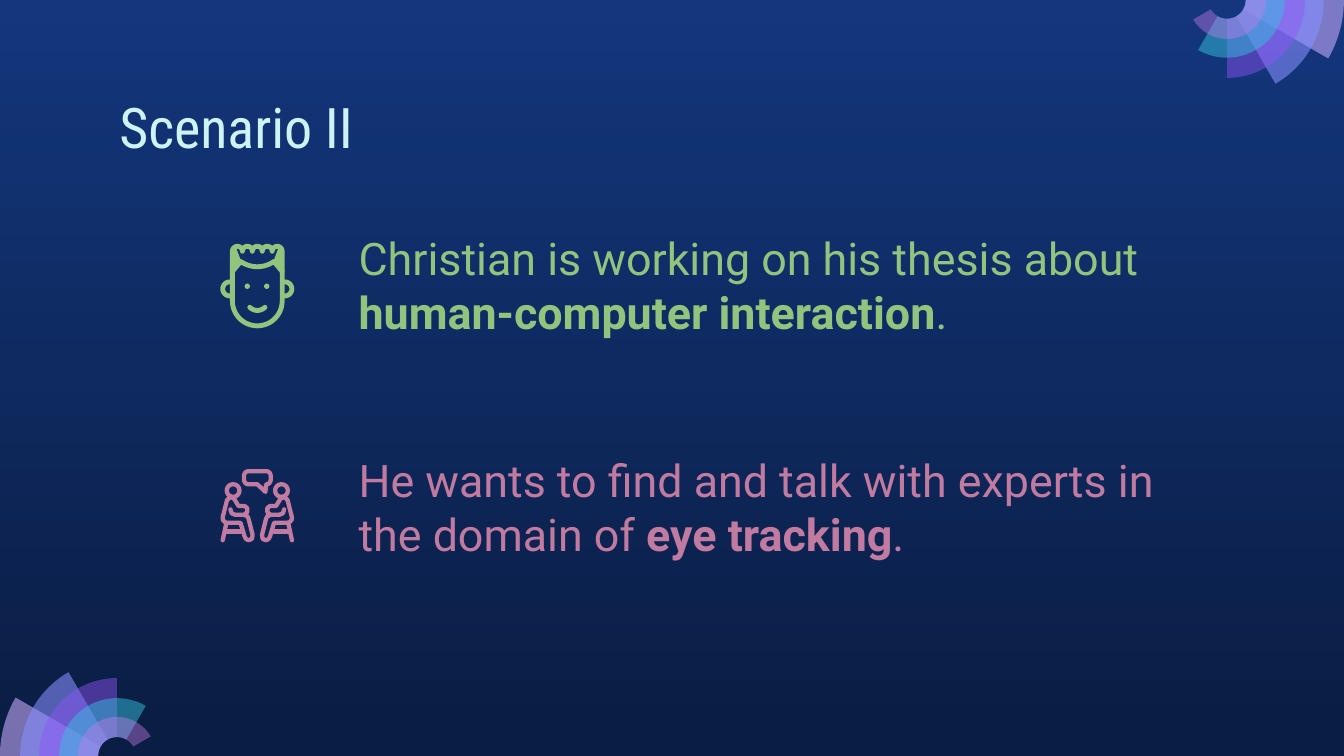
from dataclasses import dataclass
from math import cos, radians, sin

from lxml import etree
from pptx import Presentation
from pptx.dml.color import RGBColor
from pptx.enum.shapes import MSO_SHAPE
from pptx.enum.text import MSO_ANCHOR
from pptx.oxml.ns import qn
from pptx.util import Inches, Pt

OVAL = MSO_SHAPE.OVAL
TOP = MSO_ANCHOR.TOP

SKY = RGBColor(0x13, 0x36, 0x7C)
NIGHT = RGBColor(0x0A, 0x1D, 0x42)
ICE = RGBColor(0xCE, 0xF3, 0xF5)
GREEN = RGBColor(0x93, 0xC4, 0x7D)
PINK = RGBColor(0xC2, 0x7B, 0xA0)
LILAC = RGBColor(0xC8, 0xAC, 0xFD)
PERIWINKLE = RGBColor(0x87, 0x8F, 0xFF)
VIOLET = RGBColor(0x91, 0x54, 0xF8)
CYAN = RGBColor(0x35, 0xC2, 0xDF)
ORCHID = RGBColor(0xCA, 0x7B, 0xEB)

WIDTH = 10
HEIGHT = WIDTH * 9 / 16

Points = list[tuple[float, float]]


@dataclass
class Ring:
    radius: float
    sweep: int
    color: RGBColor
    opacity: int


@dataclass
class Icon:
    """Icon drawn on a grid of hundredths of an inch."""
    left: float
    top: float
    color: RGBColor
    weight: float


@dataclass
class Run:
    text: str
    fmt: dict


@dataclass
class Para:
    runs: list[Run]
    space_before: float = 0


RINGS = [
    Ring(0.87, 30, LILAC, 58),
    Ring(0.72, 60, PERIWINKLE, 58),
    Ring(0.58, 90, VIOLET, 46),
    Ring(0.43, 120, CYAN, 49),
    Ring(0.29, 150, ORCHID, 42),
]
HOLE = 0.14
FACE = Icon(1.64, 1.81, GREEN, 2.6)
TALK = Icon(1.64, 3.49, PINK, 2.3)
ICON_WIDTH = 55


def arc(cx: float, cy: float, r: float, start: float, end: float, steps: int = 24) -> Points:
    """Points along an arc; angles run clockwise from the right."""
    angles = [radians(start + (end - start) * i / steps) for i in range(steps + 1)]
    return [(cx + r * cos(a), cy + r * sin(a)) for a in angles]


def add_outline(s, contours: list[Points], closed: bool):
    """One freeform made of several contours, in inches."""
    first, *others = [[(Inches(x), Inches(y)) for x, y in c] for c in contours]
    fb = s.shapes.build_freeform(*first[0])
    fb.add_line_segments(first[1:], close=closed)
    for contour in others:
        fb.move_to(*contour[0])
        fb.add_line_segments(contour[1:], close=closed)
    sp = fb.convert_to_shape()
    sp.shadow.inherit = False
    return sp


def paint(sp, color: RGBColor, opacity: int = 100) -> None:
    sp.fill.solid()
    sp.fill.fore_color.rgb = color
    sp.line.fill.background()
    if opacity < 100:
        clr = sp.fill._xPr.find(f".//{qn('a:srgbClr')}")
        etree.SubElement(clr, qn("a:alpha"), val=str(opacity * 1000))


def add_fan(s, cx: float, cy: float, start: int) -> None:
    for ring in RINGS:
        end = start + ring.sweep
        edge = arc(cx, cy, ring.radius, start, end) + arc(cx, cy, HOLE, end, start)
        paint(add_outline(s, [edge], True), ring.color, ring.opacity)


def place(icon: Icon, contour: Points) -> Points:
    return [(icon.left + x / 100, icon.top + y / 100) for x, y in contour]


def mirror(contour: Points) -> Points:
    return [(ICON_WIDTH - x, y) for x, y in contour]


def add_strokes(s, icon: Icon, contours: list[Points]) -> None:
    sp = add_outline(s, [place(icon, c) for c in contours], False)
    sp.fill.background()
    sp.line.color.rgb = icon.color
    sp.line.width = Pt(icon.weight)
    ln = sp.line._get_or_add_ln()
    ln.set("cap", "rnd")
    etree.SubElement(ln, qn("a:round"))


def add_face(s) -> None:
    # Smile, then eyes
    add_strokes(s, FACE, [arc(27.5, 42, 8, 45, 135)])
    for x in (20, 34.5):
        cx, cy = place(FACE, [(x, 32)])[0]
        sp = s.shapes.add_shape(OVAL, Inches(cx - 0.02), Inches(cy - 0.02),
                                Inches(0.04), Inches(0.04))
        sp.shadow.inherit = False
        paint(sp, FACE.color)
    # Head with five curls, fringe and ears
    head = arc(27.5, 43, 18.5, 0, 180)
    for i in range(5):
        head += arc(12.7 + 7.4 * i, 6, 3.7, 180, 360, 12)
    head.append(head[0])
    fringe = [(9, 21), *arc(27.5, -4, 21.5, 125, 55), (46, 21)]
    ear = arc(7, 34, 5.2, 90, 270)
    add_strokes(s, FACE, [head, fringe, ear, mirror(ear)])
    # Hair at the temples
    lock = [(9, 5), (12, 4), (15, 12), (9, 19)]
    for contour in (lock, mirror(lock)):
        paint(add_outline(s, [place(FACE, contour)], True), FACE.color)


def add_talk(s) -> None:
    person = [
        arc(9.5, 16, 4.7, 0, 360),
        [(8, 20.5), (5, 23), (1.7, 36), (2, 38), (4, 40), (15, 40), (18, 50),
         (19, 52), (21, 53), (23.5, 52), (24, 49), (21, 37), (20, 35), (17, 34),
         (11, 34), (8.5, 33), (7.5, 30)],
        [(8, 20.5), (10.5, 22.5), (13.5, 27.5), (18, 27.5), (20, 29), (20, 32), (18, 34)],
        [(4.5, 40), (1.7, 53)],
        [(4, 46.5), (15, 46.5)],
    ]
    add_strokes(s, TALK, person)
    add_strokes(s, TALK, [mirror(c) for c in person])
    # Speech bubble
    bubble = (arc(21, 5, 3.4, 180, 270, 8) + arc(34, 5, 3.4, 270, 360, 8)
              + arc(34, 8, 3.4, 0, 90, 8) + [(33.5, 17), (27.5, 11.4)]
              + arc(21, 8, 3.4, 90, 180, 8))
    add_strokes(s, TALK, [bubble + bubble[:1]])


def add_text(s, left: float, top: float, width: float, height: float,
             paras: list[Para]) -> None:
    tb = s.shapes.add_textbox(Inches(left), Inches(top), Inches(width), Inches(height))
    tf = tb.text_frame
    tf.word_wrap = True
    tf.vertical_anchor = TOP
    for side in ("left", "top", "right", "bottom"):
        setattr(tf, f"margin_{side}", Inches(0.1))
    for i, para in enumerate(paras):
        p = tf.add_paragraph() if i else tf.paragraphs[0]
        p.space_before = Pt(para.space_before)
        for run in para.runs:
            r = p.add_run()
            r.text = run.text
            for key, value in run.fmt.items():
                if key == "color":
                    r.font.color.rgb = value
                else:
                    setattr(r.font, key, value)


def main() -> None:
    prs = Presentation()
    prs.slide_width, prs.slide_height = Inches(WIDTH), Inches(HEIGHT)
    s = prs.slides.add_slide(prs.slide_layouts[6])

    # Background
    fill = s.background.fill
    fill.gradient()
    fill.gradient_angle = 270
    for stop, color, position in zip(fill.gradient_stops, (SKY, NIGHT), (0, 1)):
        stop.color.rgb = color
        stop.position = position

    # Corner fans
    add_fan(s, 0.87, HEIGHT, 180)
    add_fan(s, WIDTH - 0.87, 0, 0)

    # Title and body
    title = {"name": "Roboto Condensed", "size": Pt(30), "color": ICE}
    green = {"name": "Roboto", "size": Pt(24), "color": GREEN}
    pink = green | {"color": PINK}
    bold = {"bold": True}
    add_text(s, 0.79, 0.59, 8.43, 0.63, [Para([Run("Scenario II", title)])])
    add_text(s, 2.57, 1.62, 6.26, 3.44, [
        Para([Run("Christian is working on his thesis about ", green),
              Run("human-computer interaction", green | bold), Run(".", green)]),
        Para([Run("He wants to find and talk with experts in the domain of ", pink),
              Run("eye tracking", pink | bold), Run(".", pink)], space_before=61),
    ])

    # Icons
    add_face(s)
    add_talk(s)
    prs.save("out.pptx")


if __name__ == "__main__":
    main()
